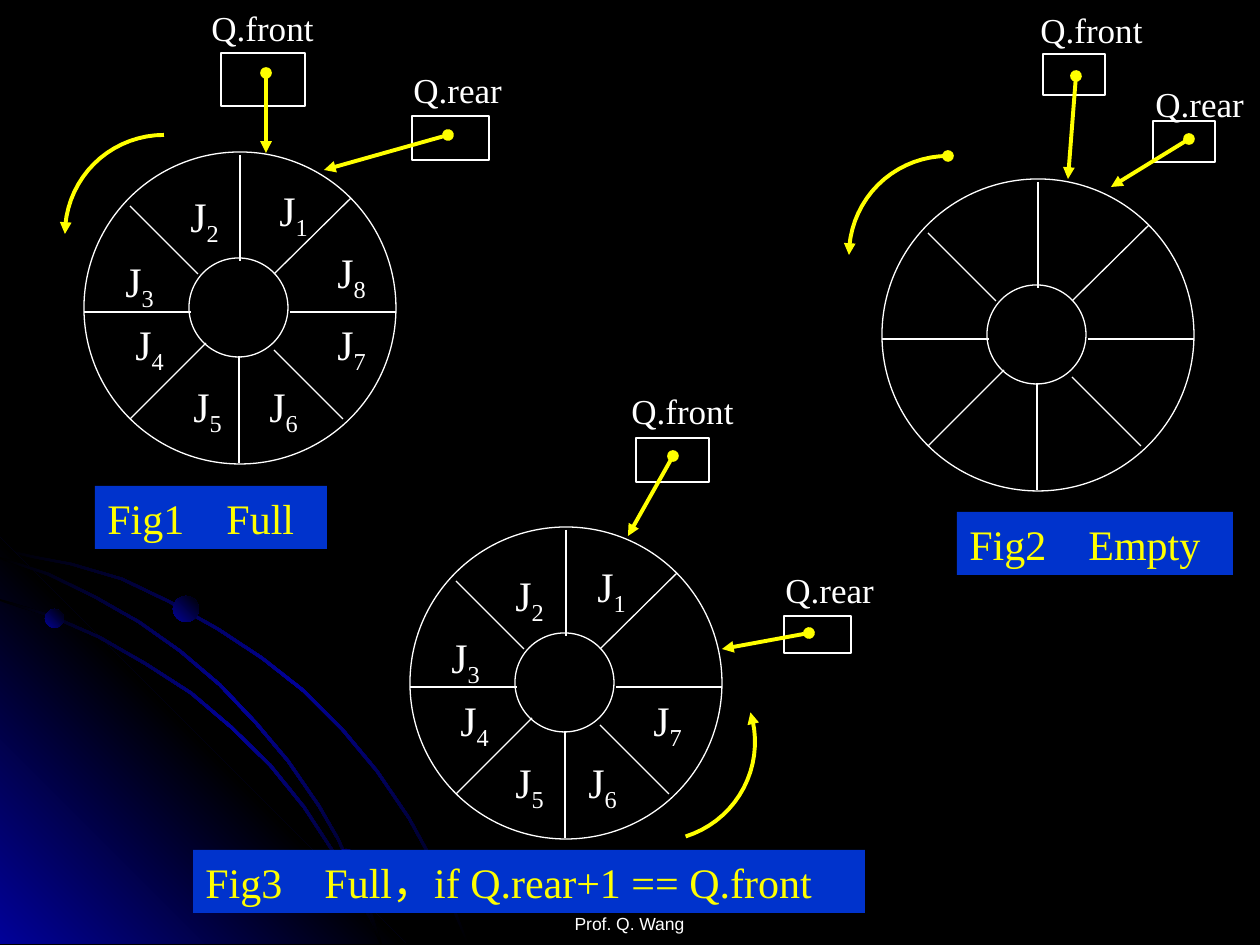
import math

from pptx import Presentation
from pptx import util as u
from pptx.dml.color import RGBColor
from pptx.enum import shapes, text
from pptx.oxml import parse_xml
from pptx.oxml.ns import nsdecls, qn
from pptx.oxml.xmlchemy import OxmlElement

SCALE = u.Inches(1) / 126
COLORS = {
    "black": "000000",
    "white": "FFFFFF",
    "yellow": "FFFF00",
    "caption": "0033CC",
    "glow": "010199",
}
SPOKES = [
    (156, 3, 156, 109), (155, 204, 155, 311),
    (0, 160, 107, 160), (206, 160, 312, 160),
    (267, 46, 190, 122), (122, 191, 46, 267),
    (46, 54, 114, 122), (190, 198, 259, 267),
]
TOP_BAND = [
    (0, 548), (35, 556), (72, 563), (123, 578), (171, 601), (219, 628), (263, 657), (305, 690),
    (343, 728), (378, 770), (410, 817), (427, 848), (444, 880), (456, 911), (469, 944),
]
LOW_BAND = [
    (0, 599), (52, 615), (100, 636), (147, 663), (192, 692), (232, 726),
    (271, 764), (305, 806), (335, 852), (360, 897), (373, 920), (382, 944),
]
MIDDLE_BAND = [
    (0, 557), (49, 573), (96, 596), (140, 621), (181, 650), (221, 684), (257, 722),
    (289, 760), (320, 805), (339, 838), (355, 873), (370, 907), (382, 944),
]
FIGURES = [
    dict(
        origin=(84, 152),
        jobs={1: (183, 26), 2: (94, 32), 3: (29, 97), 4: (39, 160),
              5: (97, 222), 6: (173, 222), 7: (241, 160), 8: (241, 88)},
        pointers=[
            ("Q.front", (115, -152, 129, 55), (137, -99, 84, 53), (182, -79, 182, 1)),
            ("Q.rear", (317, -90, 115, 55), (328, -36, 77, 44), (364, -17, 240, 18)),
        ],
        turn=dict(center=(80, 82), start=270),
        caption=("Fig1　Full", (11, 334, 232, 63)),
    ),
    dict(
        origin=(882, 179),
        jobs={},
        pointers=[
            ("Q.front", (146, -177, 129, 55), (161, -125, 62, 41), (194, -103, 186, 0)),
            ("Q.rear", (261, -103, 115, 55), (271, -58, 62, 41), (307, -40, 229, 8)),
        ],
        turn=dict(center=(66, 76), start=270, head="oval"),
        caption=("Fig2　Empty", (75, 333, 276, 63)),
    ),
    dict(
        origin=(410, 527),
        jobs={1: (175, 27), 2: (93, 36), 3: (29, 98), 4: (38, 161),
              5: (93, 223), 6: (166, 223), 7: (231, 161)},
        pointers=[
            ("Q.front", (209, -144, 129, 55), (226, -89, 73, 44), (263, -71, 218, 9)),
            ("Q.rear", (363, 35, 115, 55), (374, 89, 67, 37), (399, 106, 312, 122)),
        ],
        turn=dict(center=(246, 215), start=72.6),
        caption=("Fig3　Full，if Q.rear+1 == Q.front", (-217, 323, 672, 63)),
    ),
]


def px(*lengths):
    return [u.Emu(round(length * SCALE)) for length in lengths]


def rgb(name):
    return RGBColor.from_string(COLORS[name])


def shift(origin, box):
    return (origin[0] + box[0], origin[1] + box[1], *box[2:])


def shift_line(origin, ends):
    return shift(origin, ends[:2]) + shift(origin, ends[2:])


def style_line(shape, color, width, head=None, tail=None):
    shape.line.color.rgb = rgb(color)
    shape.line.width = u.Pt(width)
    for tag, kind in (("a:headEnd", head), ("a:tailEnd", tail)):
        if kind:
            end = OxmlElement(tag)
            end.set("type", kind)
            shape.element.spPr.find(qn("a:ln")).append(end)


def add_text(slide, box, content, size, color="white", font="Times New Roman", subscript="",
             fill=None, align=None, wrap=False, top=None):
    shape = slide.shapes.add_textbox(*px(*box))
    if fill:
        shape.fill.solid()
        shape.fill.fore_color.rgb = rgb(fill)
    frame = shape.text_frame
    frame.word_wrap = wrap
    frame.auto_size = text.MSO_AUTO_SIZE.NONE if wrap else text.MSO_AUTO_SIZE.SHAPE_TO_FIT_TEXT
    if top:
        frame.margin_top = px(top)[0]
    paragraph = frame.paragraphs[0]
    paragraph.alignment = align
    for part in filter(None, (content, subscript)):
        run = paragraph.add_run()
        run.text = part
        run.font.size = u.Pt(size)
        run.font.name = font
        run.font.color.rgb = rgb(color)
    if subscript:
        list(shape.element.iter(qn("a:rPr")))[-1].set("baseline", "-25000")


def add_outline(slide, kind, box):
    shape = slide.shapes.add_shape(kind, *px(*box))
    shape.shadow.inherit = False
    shape.fill.background()
    style_line(shape, "white", 0.75)


def add_line(slide, ends, color="white", width=0.75, head=None, tail=None):
    connector = slide.shapes.add_connector(shapes.MSO_CONNECTOR.STRAIGHT, *px(*ends))
    style_line(connector, color, width, head, tail)
    connector.element.spPr.append(OxmlElement("a:effectLst"))


def add_path(slide, points, close=True):
    start, *others = [px(*point) for point in points]
    builder = slide.shapes.build_freeform(*start)
    builder.add_line_segments(others, close=close)
    shape = builder.convert_to_shape()
    shape.shadow.inherit = False
    shape.fill.background()
    return shape


def fill_gradient(shape, names, angle):
    shape.shadow.inherit = False
    shape.line.fill.background()
    shape.fill.background()
    step = 100000 // (len(names) - 1)
    stops = "".join(
        f'<a:gs pos="{index * step}"><a:srgbClr val="{COLORS[name]}"/></a:gs>'
        for index, name in enumerate(names)
    )
    gradient = parse_xml(
        f'<a:gradFill {nsdecls("a")} rotWithShape="1"><a:gsLst>{stops}</a:gsLst>'
        f'<a:lin ang="{angle * 60000}" scaled="1"/></a:gradFill>'
    )
    properties = shape.element.spPr
    properties.replace(properties.find(qn("a:noFill")), gradient)


def add_band(slide, edge):
    inner = [(max(x - 2, 0), min(y + 2, 944)) for x, y in reversed(edge)]
    fill_gradient(add_path(slide, edge + inner), ("black", "glow", "black"), 45)


def add_backdrop(slide):
    slide.background.fill.solid()
    slide.background.fill.fore_color.rgb = rgb("black")
    add_band(slide, TOP_BAND)
    corner = add_path(slide, [(406, 944), (0, 944), (0, 538)])
    fill_gradient(corner, ("glow", "black", "glow"), 315)
    add_band(slide, LOW_BAND)
    add_band(slide, MIDDLE_BAND)
    for x, y, size, angle in ((45, 609, 19, 315), (336, 849, 20, 45), (173, 596, 26, 315)):
        ball = slide.shapes.add_shape(shapes.MSO_SHAPE.OVAL, *px(x, y, size, size))
        fill_gradient(ball, ("glow", "black"), angle)


def add_wheel(slide, origin):
    for box in ((0, 0, 312, 312), (105, 106, 99, 99)):
        add_outline(slide, shapes.MSO_SHAPE.OVAL, shift(origin, box))
    for spoke in SPOKES:
        add_line(slide, shift_line(origin, spoke))


def add_turn(slide, origin, center, start, head=None):
    x, y = shift(origin, center)
    angles = [math.radians(start - step * 5) for step in range(19)]
    points = [(x + 99 * math.cos(angle), y + 99 * math.sin(angle)) for angle in angles]
    arc = add_path(slide, points, close=False)
    style_line(arc, "yellow", 2.25, head, "triangle")


def add_figure(slide, origin, jobs, pointers, turn, caption):
    add_wheel(slide, origin)
    for number, (x, y) in jobs.items():
        add_text(slide, shift(origin, (x, y, 56, 71)), "J", 24, subscript=str(number))
    for name, label, cell, arrow in pointers:
        add_text(slide, shift(origin, label), name, 20)
        add_outline(slide, shapes.MSO_SHAPE.RECTANGLE, shift(origin, cell))
        add_line(slide, shift_line(origin, arrow), "yellow", 2.25, "oval", "triangle")
    content, box = caption
    add_text(slide, shift(origin, box), content, 24, color="yellow", fill="caption")
    add_turn(slide, origin, **turn)


def main():
    presentation = Presentation()
    presentation.slide_width, presentation.slide_height = px(1260, 945)
    slide = presentation.slides.add_slide(presentation.slide_layouts[6])
    add_backdrop(slide)
    add_text(slide, (430, 886, 399, 63), "Prof. Q. Wang", 10, font="Arial",
             align=text.PP_ALIGN.CENTER, wrap=True, top=27)
    for figure in FIGURES:
        add_figure(slide, **figure)
    presentation.save("out.pptx")


if __name__ == "__main__":
    main()
